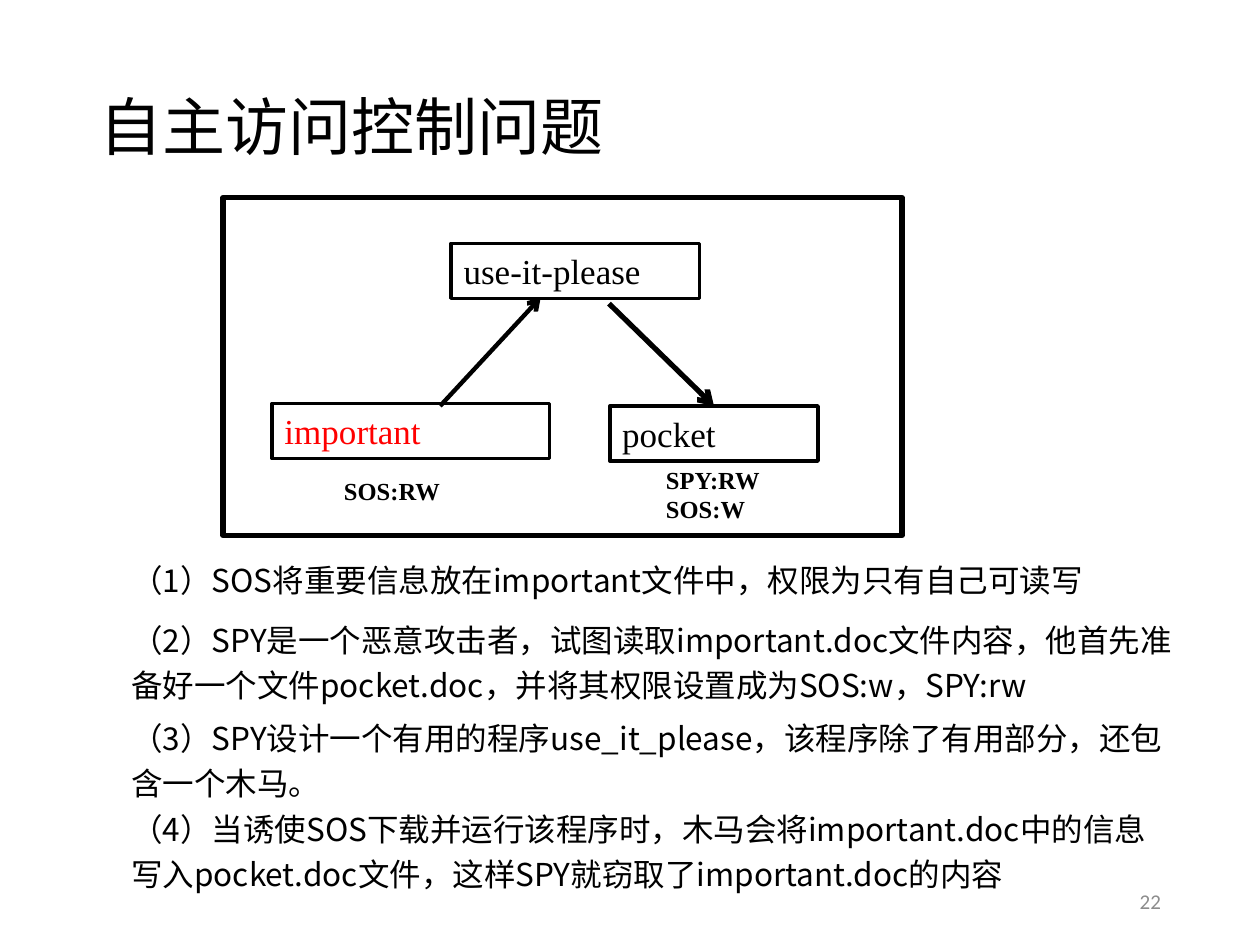
from lxml import etree
from pptx import Presentation
from pptx.dml.color import RGBColor
from pptx.enum.shapes import MSO_CONNECTOR, MSO_SHAPE
from pptx.enum.text import MSO_ANCHOR, MSO_AUTO_SIZE, PP_ALIGN
from pptx.oxml.ns import qn
from pptx.util import Pt

BLACK = RGBColor(0x00, 0x00, 0x00)
RED = RGBColor(0xFF, 0x00, 0x00)
GRAY = RGBColor(0x8C, 0x8C, 0x8C)
SERIF, SANS, CHINESE = "Times New Roman", "Calibri", "Noto Sans CJK SC"
LEFT, RIGHT = PP_ALIGN.LEFT, PP_ALIGN.RIGHT
TOP, MIDDLE = MSO_ANCHOR.TOP, MSO_ANCHOR.MIDDLE
NO_AUTOFIT = MSO_AUTO_SIZE.NONE
RECTANGLE, STRAIGHT = MSO_SHAPE.RECTANGLE, MSO_CONNECTOR.STRAIGHT
TITLE_ONLY = 5
TOP_SIDE = 0


def write(shape, text, font=SERIF, size=20, color=BLACK, bold=False,
          align=LEFT, anchor=TOP, line_spacing=1.0):
    """Fill a shape with text, one paragraph per line."""
    frame = shape.text_frame
    frame.auto_size = NO_AUTOFIT
    frame.word_wrap = True
    frame.vertical_anchor = anchor
    for index, line in enumerate(text.split("\n")):
        paragraph = frame.add_paragraph() if index else frame.paragraphs[0]
        paragraph.alignment = align
        paragraph.line_spacing = line_spacing
        run = paragraph.add_run()
        run.text = line
        run.font.size = Pt(size)
        run.font.bold = bold
        run.font.color.rgb = color
        run.font.name = font
        east_asian = etree.SubElement(run.font._element, qn("a:ea"))
        east_asian.set("typeface", CHINESE)


class SlideBuilder:
    """Holds the line style and the current slide; lengths are in points."""

    def __init__(self, slide, line_color=BLACK):
        self.slide = slide
        self.line_color = line_color

    def title(self, text, left, top, width, height):
        title = self.slide.shapes.title
        title.left, title.top = Pt(left), Pt(top)
        title.width, title.height = Pt(width), Pt(height)
        write(title, text, font=SANS, size=36, anchor=MIDDLE, line_spacing=0.9)

    def text(self, text, left, top, width, height, **style):
        box = self.slide.shapes.add_textbox(Pt(left), Pt(top), Pt(width), Pt(height))
        write(box, text, **style)

    def box(self, left, top, width, height, text="", line_width=2, **style):
        shape = self.slide.shapes.add_shape(
            RECTANGLE, Pt(left), Pt(top), Pt(width), Pt(height))
        shape.shadow.inherit = False
        shape.fill.background()
        shape.line.color.rgb = self.line_color
        shape.line.width = Pt(line_width)
        if text:
            write(shape, text, **style)
        return shape

    def arrow(self, start, end, line_width, target=None):
        connector = self.slide.shapes.add_connector(
            STRAIGHT, *(Pt(value) for value in (*start, *end)))
        if target is not None:
            connector.end_connect(target, TOP_SIDE)
        connector.line.color.rgb = self.line_color
        connector.line.width = Pt(line_width)
        line = connector.line._get_or_add_ln()
        etree.SubElement(line, qn("a:tailEnd")).set("type", "arrow")
        etree.SubElement(connector._element.spPr, qn("a:effectLst"))


def main():
    presentation = Presentation()
    presentation.slide_width, presentation.slide_height = Pt(720), Pt(540)
    slide = presentation.slides.add_slide(presentation.slide_layouts[TITLE_ONLY])
    builder = SlideBuilder(slide)

    builder.title("自主访问控制问题", 49.5, 28.75, 621, 91.5)

    # Diagram: frame, files and program
    builder.box(127.5, 113, 388, 193, line_width=3)
    builder.box(257.8, 139, 142, 31.5, "use-it-please")
    pocket = builder.box(348.5, 232, 119, 31.5, "pocket")
    builder.box(155.5, 230.5, 158.5, 31.5, "important", color=RED)

    # Information flow
    builder.arrow((251.5, 232), (309, 170), 2.5)
    builder.arrow((348, 173.5), (408, 232), 3, target=pocket)

    # Access rights
    rights = {"size": 14, "bold": True}
    builder.text("SPY:RW\nSOS:W", 373.5, 262, 91, 50, **rights)
    builder.text("SOS:RW", 189.5, 268.5, 91, 24.5, **rights)

    # Steps of the attack
    steps = [
        (313, "（1）SOS将重要信息放在important文件中，权限为只有自己可读写"),
        (347, "（2）SPY是一个恶意攻击者，试图读取important.doc文件内容，"
              "他首先准备好一个文件pocket.doc，并将其权限设置成为SOS:w，SPY:rw"),
        (403, "（3）SPY设计一个有用的程序use_it_please，"
              "该程序除了有用部分，还包含一个木马。"),
        (455, "（4）当诱使SOS下载并运行该程序时，木马会将important.doc中的信息"
              "写入pocket.doc文件，这样SPY就窃取了important.doc的内容"),
    ]
    for top, step in steps:
        builder.text(step, 68, top, 610, 58, font=CHINESE, size=18, line_spacing=1.2)

    # Slide number
    builder.text("22", 508.5, 500.5, 162, 28.75, font=SANS, size=12, color=GRAY,
                 align=RIGHT, anchor=MIDDLE)

    presentation.save("out.pptx")


if __name__ == "__main__":
    main()
